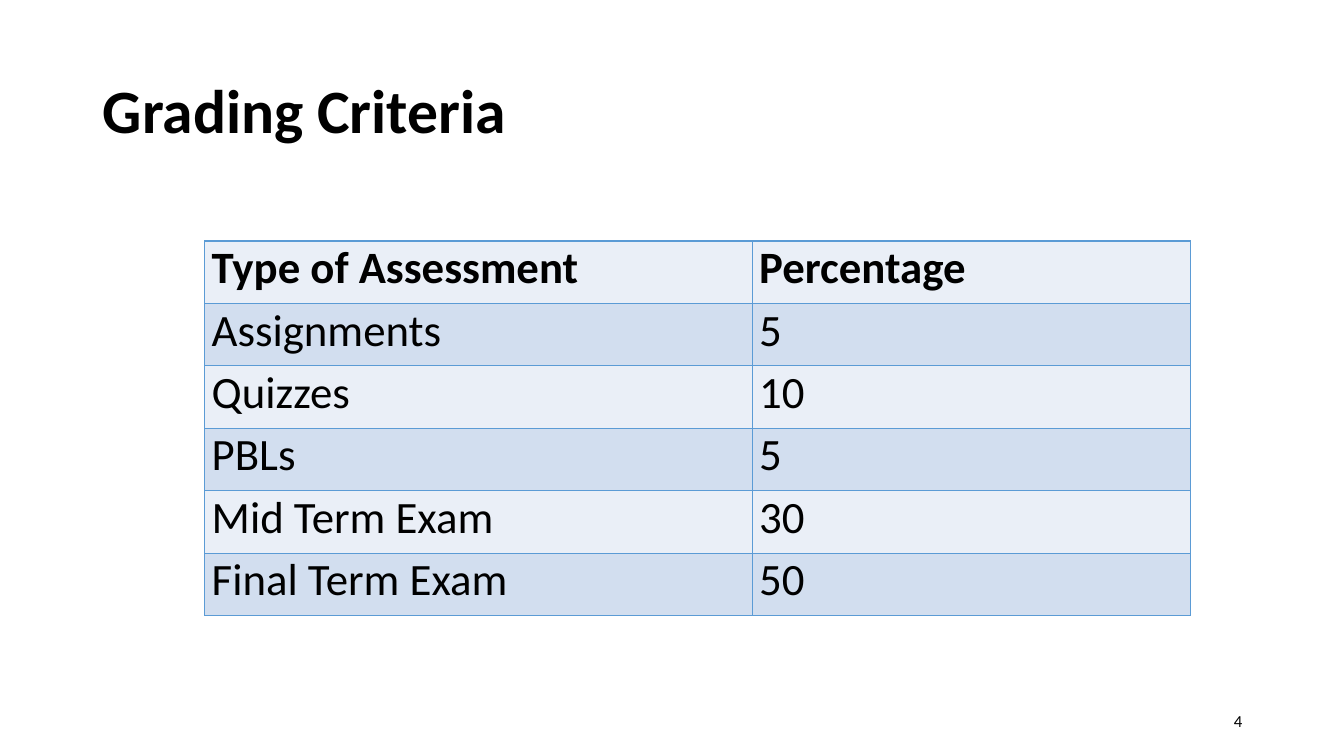
from lxml.etree import SubElement
from pptx import Presentation
from pptx.dml.color import RGBColor
from pptx.enum.text import MSO_ANCHOR, MSO_AUTO_SIZE, PP_ALIGN
from pptx.oxml.ns import qn
from pptx.util import Inches, Pt

TITLE = "Grading Criteria"
PAGE = "4"
ROWS = [
    ("Type of Assessment", "Percentage"),
    ("Assignments", "5"),
    ("Quizzes", "10"),
    ("PBLs", "5"),
    ("Mid Term Exam", "30"),
    ("Final Term Exam", "50"),
]
HEX = {"ink": "000000", "light": "EAEFF7", "dark": "D2DEEF", "edge": "5B9BD5"}
BOX = {
    "title": (0.92, 0.4, 11.5, 1.45),
    "page": (9.42, 6.95, 3, 0.4),
}
LEFT, TOP, ROW = 2.03, 2.39, 0.62
COLS = (5.43, 4.35)
FRAME = {
    "word_wrap": True,
    "auto_size": MSO_AUTO_SIZE.NONE,
    "vertical_anchor": MSO_ANCHOR.MIDDLE,
}
PAD = {
    "margin_left": Inches(0.07),
    "margin_right": Inches(0.07),
    "margin_top": 0,
    "margin_bottom": 0,
    "vertical_anchor": MSO_ANCHOR.TOP,
}


def apply(item, values):
    for name, value in values.items():
        setattr(item, name, value)


def write(frame, text, size, bold=False, align=PP_ALIGN.LEFT):
    para = frame.paragraphs[0]
    para.alignment = align
    run = para.add_run()
    run.text = text
    apply(run.font, {"name": "Calibri", "size": Pt(size), "bold": bold})
    run.font.color.rgb = RGBColor.from_string(HEX["ink"])
    return para


def outline(cell):
    """Put the edge lines before the fill, as the schema wants."""
    props = cell._tc.get_or_add_tcPr()
    for spot, side in enumerate(("lnL", "lnR", "lnT", "lnB")):
        line = SubElement(props, qn(f"a:{side}"), w=str(Pt(1)))
        solid = SubElement(line, qn("a:solidFill"))
        SubElement(solid, qn("a:srgbClr"), val=HEX["edge"])
        props.insert(spot, line)


def add_grades(slide):
    area = (LEFT, TOP, sum(COLS), ROW * len(ROWS))
    table = slide.shapes.add_table(
        len(ROWS), len(COLS), *map(Inches, area)).table
    for col, width in zip(table.columns, COLS):
        col.width = Inches(width)
    for r, row in enumerate(ROWS):
        for c, text in enumerate(row):
            cell = table.cell(r, c)
            apply(cell, PAD)
            cell.fill.solid()
            shade = HEX["dark" if r % 2 else "light"]
            cell.fill.fore_color.rgb = RGBColor.from_string(shade)
            outline(cell)
            write(cell.text_frame, text, 32, bold=r == 0)


def main():
    deck = Presentation()
    deck.slide_width, deck.slide_height = Inches(13.33), Inches(7.5)
    slide = deck.slides.add_slide(deck.slide_layouts[5])

    title = slide.shapes.title
    sides = ("left", "top", "width", "height")
    apply(title, dict(zip(sides, map(Inches, BOX["title"]))))
    apply(title.text_frame, FRAME)
    write(title.text_frame, TITLE, 44, bold=True).line_spacing = 0.9

    add_grades(slide)

    page = slide.shapes.add_textbox(*map(Inches, BOX["page"]))
    apply(page.text_frame, FRAME)
    write(page.text_frame, PAGE, 12, align=PP_ALIGN.RIGHT)

    deck.save("out.pptx")


if __name__ == "__main__":
    main()
